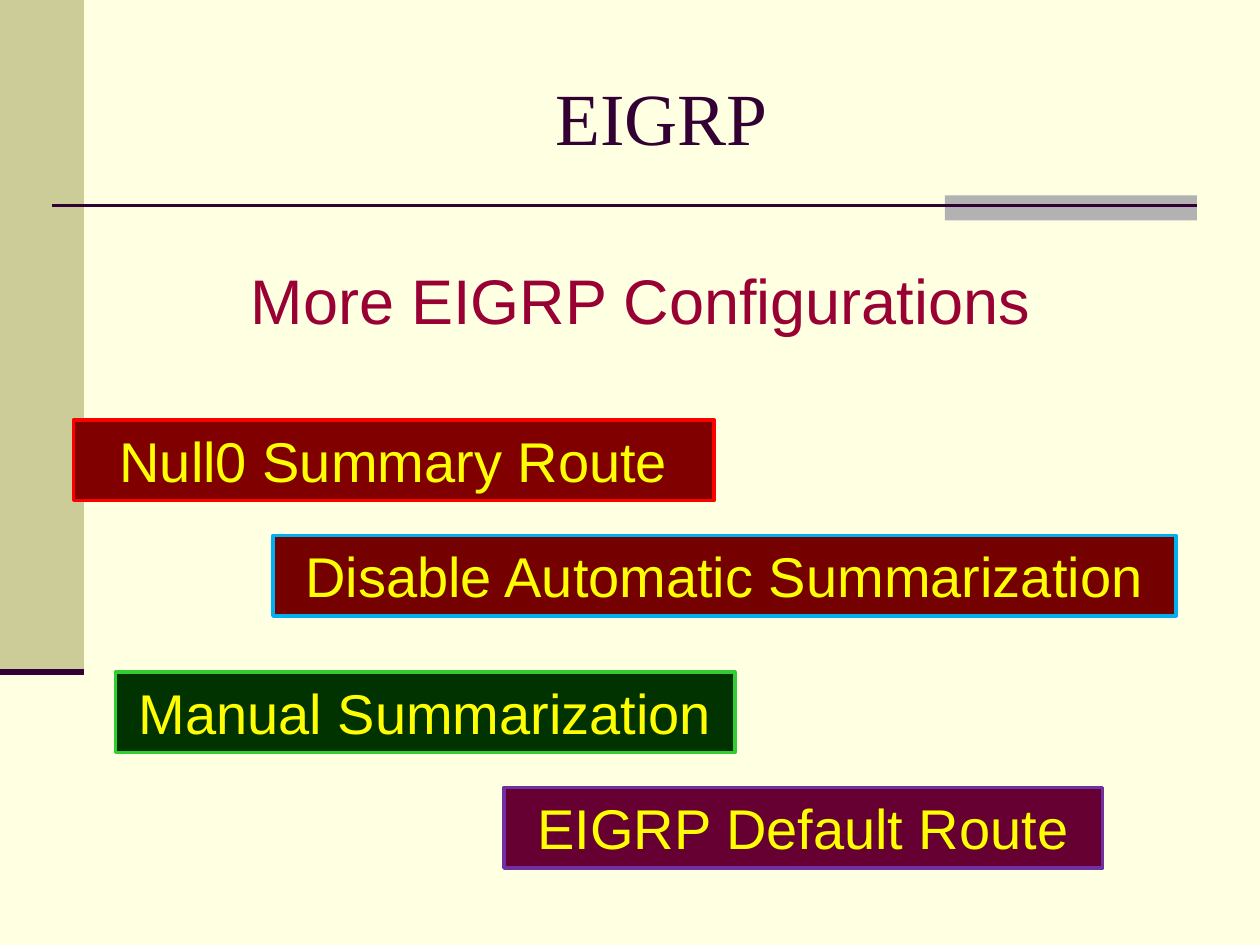
from lxml import etree
from pptx import Presentation
from pptx import util as u
from pptx.dml.color import RGBColor
from pptx.enum import shapes, text
from pptx.oxml.ns import qn

COLORS = {
    "background": "FFFFE1", "sidebar": "CCCC99", "accent": "B2B2B2",
    "dark": "330033", "subtitle": "990033", "label": "FFFF00",
    "maroon": "800000", "red": "FF0000", "brown": "740000", "sky": "00B0F0",
    "forest": "003300", "green": "33CC33", "plum": "660033", "purple": "7030A0",
}


class SlideBuilder:
    heading_font = "Times New Roman"
    body_font = "Arial"
    label_size = 32

    def __init__(self, prs):
        self.slide = prs.slides.add_slide(prs.slide_layouts[5])
        fill = self.slide.background.fill
        fill.solid()
        fill.fore_color.rgb = self.color("background")

    def color(self, name):
        return RGBColor.from_string(COLORS[name])

    def set_text(self, sp, words, size, font, color, anchor):
        tf = sp.text_frame
        tf.word_wrap = True
        tf.auto_size = text.MSO_AUTO_SIZE.NONE
        tf.vertical_anchor = anchor
        p = tf.paragraphs[0]
        p.text = words
        p.alignment = text.PP_ALIGN.CENTER
        p.font.size = u.Pt(size)
        p.font.name = font
        p.font.color.rgb = self.color(color)

    def title(self, words, *box):
        sp = self.slide.shapes.title
        sp.left, sp.top, sp.width, sp.height = map(u.Pt, box)
        self.set_text(sp, words, 42, self.heading_font, "dark",
                      text.MSO_ANCHOR.MIDDLE)

    def subtitle(self, words, *box):
        sp = self.slide.shapes.add_textbox(*map(u.Pt, box))
        self.set_text(sp, words, 36, self.body_font, "subtitle",
                      text.MSO_ANCHOR.MIDDLE)

    def rect(self, fill, *box, line=None):
        sp = self.slide.shapes.add_shape(
            shapes.MSO_SHAPE.RECTANGLE, *map(u.Pt, box))
        sp.shadow.inherit = False
        sp.fill.solid()
        sp.fill.fore_color.rgb = self.color(fill)
        if line:
            sp.line.color.rgb = self.color(line)
            sp.line.width = u.Pt(2)
        else:
            sp.line.fill.background()
        return sp

    def label(self, words, fill, line, *box):
        sp = self.rect(fill, *box, line=line)
        self.set_text(sp, words, self.label_size, self.body_font, "label",
                      text.MSO_ANCHOR.TOP)

    def rule(self, x1, x2, y, width):
        line = self.slide.shapes.add_connector(
            shapes.MSO_CONNECTOR.STRAIGHT, *map(u.Pt, (x1, y, x2, y)))
        line.line.color.rgb = self.color("dark")
        line.line.width = u.Pt(width)
        etree.SubElement(line._element.spPr, qn("a:effectLst"))


def main():
    prs = Presentation()
    prs.slide_width, prs.slide_height = u.Pt(720), u.Pt(540)
    s = SlideBuilder(prs)

    # Sidebar and title rule
    s.rect("sidebar", 0, 0, 48, 384)
    s.rect("accent", 540, 111.6, 144, 14.4)
    s.rule(30, 684, 117.5, 1.5)
    s.rule(0, 48, 384, 3.5)

    # Headings
    s.title("EIGRP", 72, 21.6, 612, 90)
    s.subtitle("More EIGRP Configurations", 72, 114, 588, 114)

    # Topic labels: left, top and width vary, height is shared
    topics = [
        ("Null0 Summary Route", "maroon", "red", 42, 240, 366),
        ("Disable Automatic Summarization", "brown", "sky", 156, 306, 516),
        ("Manual Summarization", "forest", "green", 66, 384, 354),
        ("EIGRP Default Route", "plum", "purple", 288, 450, 342),
    ]
    for words, fill, line, left, top, width in topics:
        s.label(words, fill, line, left, top, width, 46)

    prs.save("out.pptx")


if __name__ == "__main__":
    main()
